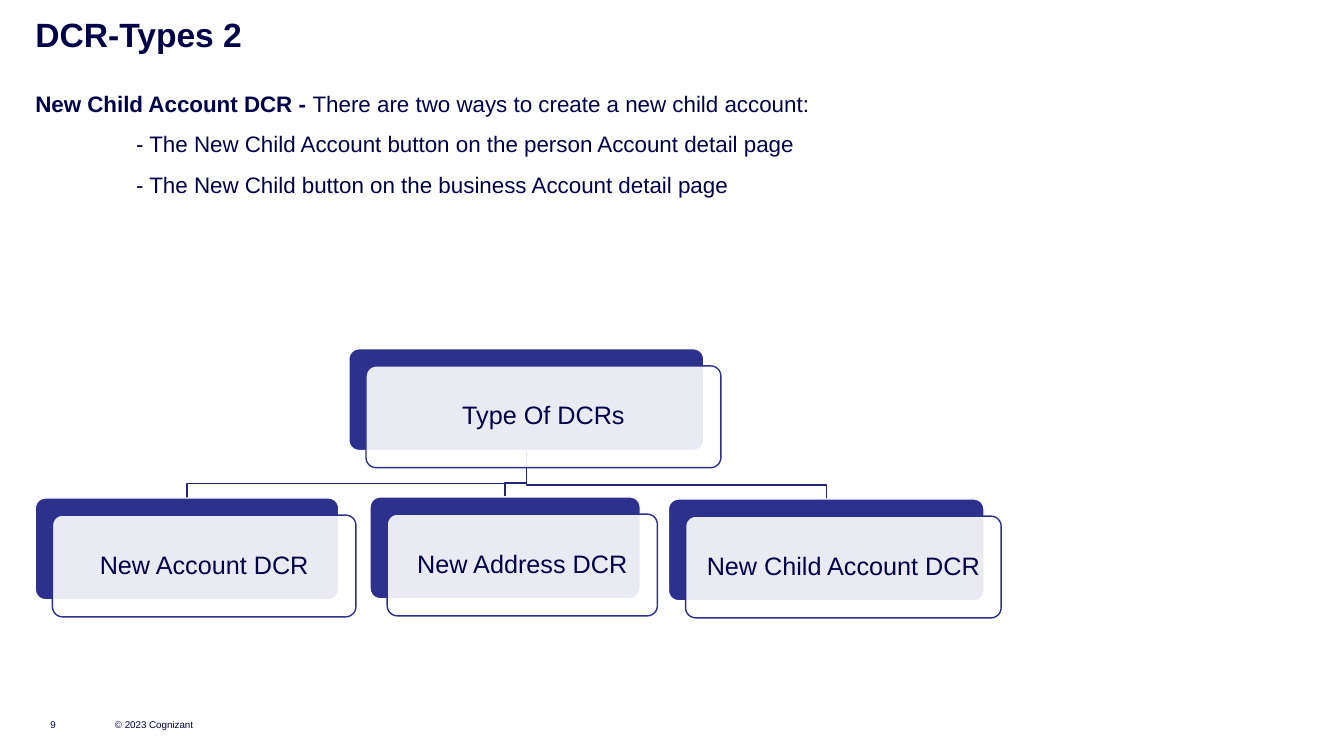
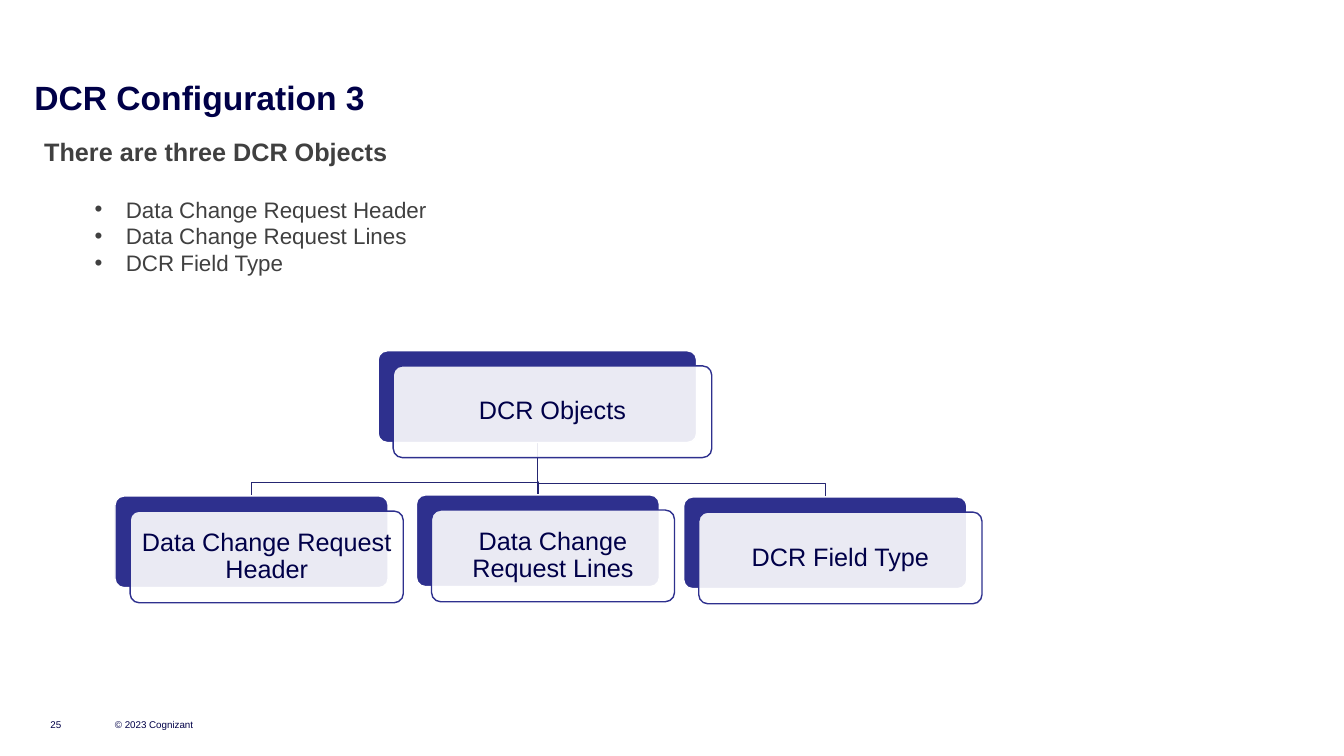
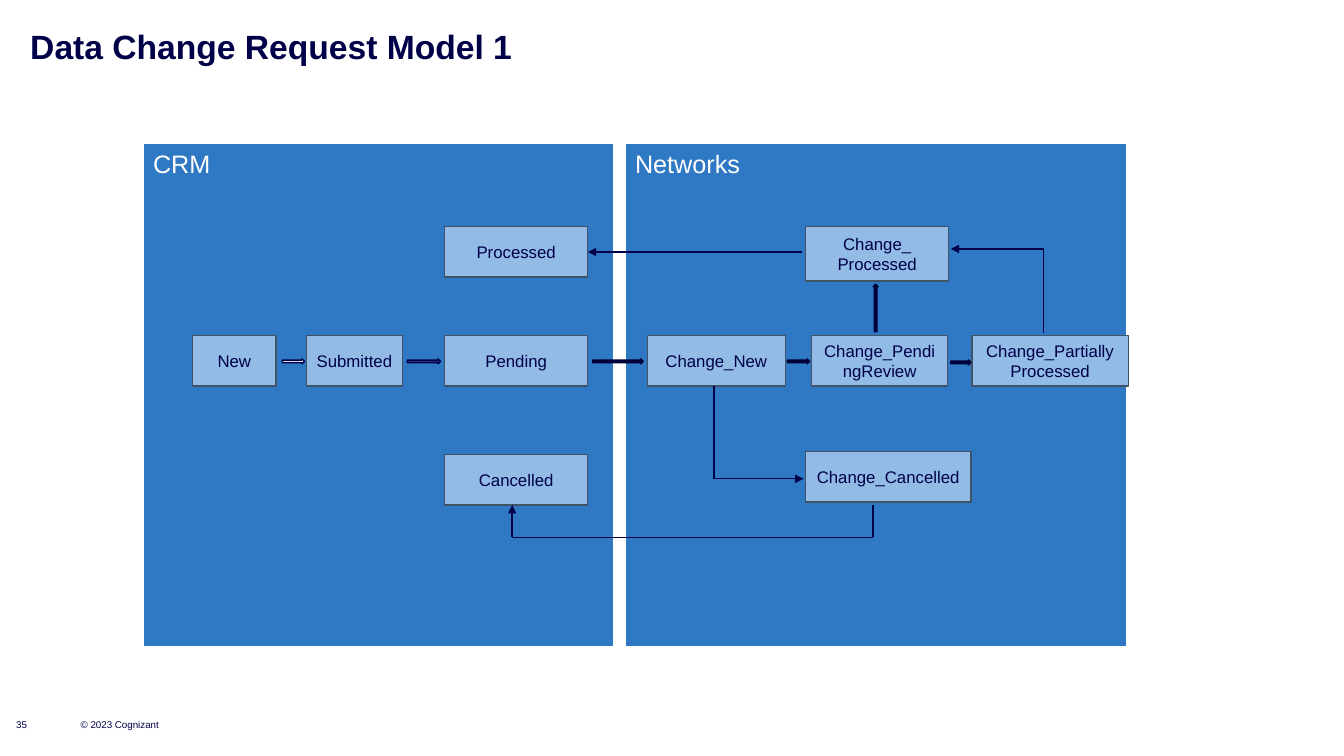
from dataclasses import dataclass

import lxml.etree
import pptx
import pptx.dml.color
import pptx.enum.shapes
import pptx.enum.text
import pptx.oxml.ns
import pptx.shapes.autoshape
import pptx.slide
import pptx.text.text
import pptx.util

Inches = pptx.util.Inches
Pt = pptx.util.Pt
RGBColor = pptx.dml.color.RGBColor
SHAPE = pptx.enum.shapes.MSO_SHAPE
ALIGN = pptx.enum.text.PP_ALIGN
ANCHOR = pptx.enum.text.MSO_ANCHOR
qn = pptx.oxml.ns.qn

FONT = "Arial"
NAVY = RGBColor(0x00, 0x00, 0x48)
DARK = RGBColor(0x00, 0x00, 0x35)
INDIGO = RGBColor(0x2E, 0x30, 0x8E)
BRANCH = RGBColor(0x25, 0x26, 0x72)
GRAY = RGBColor(0x40, 0x40, 0x40)
BLUE = RGBColor(0x2F, 0x78, 0xC4)
SKY = RGBColor(0x92, 0xBB, 0xE6)
SLATE = RGBColor(0x40, 0x52, 0x65)
WHITE = RGBColor(0xFF, 0xFF, 0xFF)


@dataclass
class Node:
    text: str
    left: float
    top: float
    width: float


@dataclass
class Tree:
    root: Node
    kids: list[Node]
    height: float
    shift: float
    drop: float


@dataclass
class Box:
    text: str
    left: float
    top: float
    width: float
    height: float = 0.5


@dataclass
class Arrow:
    kind: pptx.enum.shapes.MSO_SHAPE
    left: float
    top: float
    width: float
    height: float
    fill: RGBColor
    line: RGBColor


@dataclass
class Route:
    points: list[tuple[float, float]]


def style(para: pptx.text.text._Paragraph, size: float, color: RGBColor,
          bold: bool = False) -> None:
    para.font.name = FONT
    para.font.size = Pt(size)
    para.font.bold = bold
    para.font.color.rgb = color


def add_frame(slide: pptx.slide.Slide, left: float, top: float, width: float,
              height: float, inset: bool = False) -> pptx.text.text.TextFrame:
    frame = slide.shapes.add_textbox(
        Inches(left), Inches(top), Inches(width), Inches(height)).text_frame
    frame.word_wrap = True
    if not inset:
        set_inset(frame, 0)
    return frame


def set_inset(frame: pptx.text.text.TextFrame, size: float) -> None:
    frame.margin_left = frame.margin_right = Inches(size)
    frame.margin_top = frame.margin_bottom = Inches(size)


def add_shape(slide: pptx.slide.Slide, kind: pptx.enum.shapes.MSO_SHAPE,
              left: float, top: float, width: float, height: float,
              fill: RGBColor, line: RGBColor,
              weight: float = 1) -> pptx.shapes.autoshape.Shape:
    shape = slide.shapes.add_shape(
        kind, Inches(left), Inches(top), Inches(width), Inches(height))
    shape.shadow.inherit = False
    shape.fill.solid()
    shape.fill.fore_color.rgb = fill
    shape.line.color.rgb = line
    shape.line.width = Pt(weight)
    return shape


def label(shape: pptx.shapes.autoshape.Shape, text: str, size: float,
          color: RGBColor = NAVY, align: ALIGN = ALIGN.CENTER,
          anchor: ANCHOR = ANCHOR.MIDDLE) -> None:
    frame = shape.text_frame
    frame.word_wrap = True
    frame.vertical_anchor = anchor
    para = frame.paragraphs[0]
    para.text = text
    para.alignment = align
    style(para, size, color)


def start_slide(deck: pptx.presentation.Presentation, title: str, left: float,
                top: float, number: int, edge: float) -> pptx.slide.Slide:
    slide = deck.slides.add_slide(deck.slide_layouts[6])
    head = add_frame(slide, left, top, 11.82, 0.4).paragraphs[0]
    head.text = title
    style(head, 24, NAVY, True)
    for text, place, width in ((str(number), edge, 0.39),
                               ("© 2023 Cognizant", edge + 0.64, 1.31)):
        frame = add_frame(slide, place, 6.85, width, 0.4)
        frame.vertical_anchor = ANCHOR.BOTTOM
        frame.paragraphs[0].text = text
        style(frame.paragraphs[0], 7, NAVY)
    return slide


def draw_node(slide: pptx.slide.Slide, node: Node, tree: Tree) -> None:
    back, front = (
        add_shape(slide, SHAPE.ROUNDED_RECTANGLE, node.left + shift,
                  node.top + shift, node.width, tree.height, fill, line)
        for shift, fill, line in ((0, INDIGO, WHITE),
                                  (tree.shift, WHITE, INDIGO)))
    for shape in (back, front):
        shape.adjustments[0] = 0.1
    tint = front.fill._xPr.find(qn("a:solidFill"))[0]
    lxml.etree.SubElement(tint, qn("a:alpha")).set("val", "90000")
    label(front, node.text, 18)
    set_inset(front.text_frame, 0.06)
    front.text_frame.paragraphs[0].line_spacing = 0.9


def draw_tree(slide: pptx.slide.Slide, tree: Tree) -> None:
    root = tree.root
    stem = root.left + root.width / 2
    base = root.top + tree.height
    for kid in tree.kids:
        mid = kid.left + kid.width / 2
        bend = kid.top - tree.drop
        maker = slide.shapes.build_freeform(Inches(stem), Inches(base))
        maker.add_line_segments(
            [(Inches(x), Inches(y)) for x, y in
             ((stem, bend), (mid, bend), (mid, kid.top))], close=False)
        branch = maker.convert_to_shape()
        branch.shadow.inherit = False
        branch.fill.background()
        branch.line.color.rgb = BRANCH
        branch.line.width = Pt(1)
    for node in (root, *tree.kids):
        draw_node(slide, node, tree)


def draw_route(slide: pptx.slide.Slide, route: Route) -> None:
    for (x1, y1), (x2, y2) in zip(route.points, route.points[1:]):
        line = slide.shapes.add_connector(
            pptx.enum.shapes.MSO_CONNECTOR.STRAIGHT,
            Inches(x1), Inches(y1), Inches(x2), Inches(y2))
        line.line.color.rgb = NAVY
        line.line.width = Pt(1)
        lxml.etree.SubElement(line._element.spPr, qn("a:effectLst"))
    tail = lxml.etree.SubElement(line.line._get_or_add_ln(), qn("a:tailEnd"))
    tail.set("type", "triangle")


def build_types(deck: pptx.presentation.Presentation) -> None:
    slide = start_slide(deck, "DCR-Types 2", 0.35, 0.14, 9, 0.5)
    frame = add_frame(slide, 0.35, 0.89, 9.95, 1.3)
    lead = frame.paragraphs[0]
    lead.add_run().text = "New Child Account DCR - "
    lead.runs[0].font.bold = True
    lead.add_run().text = "There are two ways to create a new child account:"
    style(lead, 16, NAVY)
    for text in ("- The New Child Account button on the person Account detail page",
                 "- The New Child button on the business Account detail page"):
        para = frame.add_paragraph()
        para.text = text
        para._p.get_or_add_pPr().set("marL", str(Inches(1)))
        para.space_before = Pt(10)
        style(para, 16, NAVY)
    draw_tree(slide, Tree(
        Node("Type Of DCRs", 3.46, 3.46, 3.52),
        [Node("New Child Account DCR", 6.63, 4.95, 3.13),
         Node("New Address DCR", 3.67, 4.93, 2.68),
         Node("New Account DCR", 0.35, 4.94, 3.01)],
        height=1.01, shift=0.17, drop=0.14))


def build_config(deck: pptx.presentation.Presentation) -> None:
    slide = start_slide(deck, "DCR Configuration 3", 0.34, 0.76, 25, 0.5)
    frame = add_frame(slide, 0.34, 1.3, 9.68, 1.82, inset=True)
    lead = frame.paragraphs[0]
    lead.text = "There are three DCR Objects"
    style(lead, 18, GRAY, True)
    for gap, text in ((21, "Data Change Request Header"),
                      (0, "Data Change Request Lines"),
                      (0, "DCR Field Type")):
        para = frame.add_paragraph()
        para.text = text
        para.space_before = Pt(gap)
        props = para._p.get_or_add_pPr()
        props.set("marL", str(Inches(0.81)))
        props.set("indent", str(Inches(-0.31)))
        lxml.etree.SubElement(props, qn("a:buFont")).set("typeface", FONT)
        lxml.etree.SubElement(props, qn("a:buChar")).set("char", "•")
        style(para, 16, GRAY)
    draw_tree(slide, Tree(
        Node("DCR Objects", 3.75, 3.48, 3.16),
        [Node("DCR Field Type", 6.78, 4.93, 2.81),
         Node("Data Change Request Lines", 4.13, 4.91, 2.41),
         Node("Data Change Request Header", 1.14, 4.92, 2.71)],
        height=0.91, shift=0.15, drop=0.13))


def build_model(deck: pptx.presentation.Presentation) -> None:
    slide = start_slide(deck, "Data Change Request Model 1", 0.3, 0.26, 35, 0.16)
    for text, left, width in (("CRM", 1.42, 4.67), ("Networks", 6.2, 4.98)):
        panel = add_shape(slide, SHAPE.RECTANGLE, left, 1.42, width, 5,
                          BLUE, WHITE, 1.5)
        label(panel, text, 18, WHITE, ALIGN.LEFT, ANCHOR.TOP)
    row = 3.33
    for box in (Box("New", 1.91, row, 0.83),
                Box("Submitted", 3.04, row, 0.95),
                Box("Processed", 4.41, 2.25, 1.42),
                Box("Pending", 4.41, row, 1.42),
                Box("Cancelled", 4.41, 4.51, 1.42),
                Box("Change_ Processed", 7.99, 2.25, 1.42, 0.54),
                Box("Change_PendingReview", 8.05, row, 1.35),
                Box("Change_PartiallyProcessed", 9.64, row, 1.55),
                Box("Change_Cancelled", 7.99, 4.48, 1.64),
                Box("Change_New", 6.42, row, 1.37)):
        shape = add_shape(slide, SHAPE.RECTANGLE, box.left, box.top,
                          box.width, box.height, SKY, SLATE)
        label(shape, box.text, 12)
    right = SHAPE.RIGHT_ARROW
    for arrow in (Arrow(right, 2.8, 3.56, 0.22, 0.05, WHITE, NAVY),
                  Arrow(right, 4.04, 3.56, 0.33, 0.05, INDIGO, NAVY),
                  Arrow(right, 5.88, 3.56, 0.5, 0.05, NAVY, DARK),
                  Arrow(right, 7.81, 3.56, 0.22, 0.05, NAVY, DARK),
                  Arrow(right, 9.43, 3.57, 0.2, 0.05, NAVY, DARK),
                  Arrow(SHAPE.UP_ARROW, 8.66, 2.82, 0.05, 0.47, NAVY, DARK)):
        add_shape(slide, arrow.kind, arrow.left, arrow.top, arrow.width,
                  arrow.height, arrow.fill, arrow.line)
    for route in (Route([(8.66, 5.01), (8.66, 5.33), (5.08, 5.33), (5.08, 5.01)]),
                  Route([(7.95, 2.5), (5.83, 2.5)]),
                  Route([(10.35, 3.3), (10.35, 2.47), (9.43, 2.47)]),
                  Route([(7.08, 3.83), (7.08, 4.75), (7.97, 4.75)])):
        draw_route(slide, route)


def main() -> None:
    deck = pptx.Presentation()
    deck.slide_width = Inches(13.33)
    deck.slide_height = Inches(7.5)
    build_types(deck)
    build_config(deck)
    build_model(deck)
    deck.save("out.pptx")


if __name__ == "__main__":
    main()
